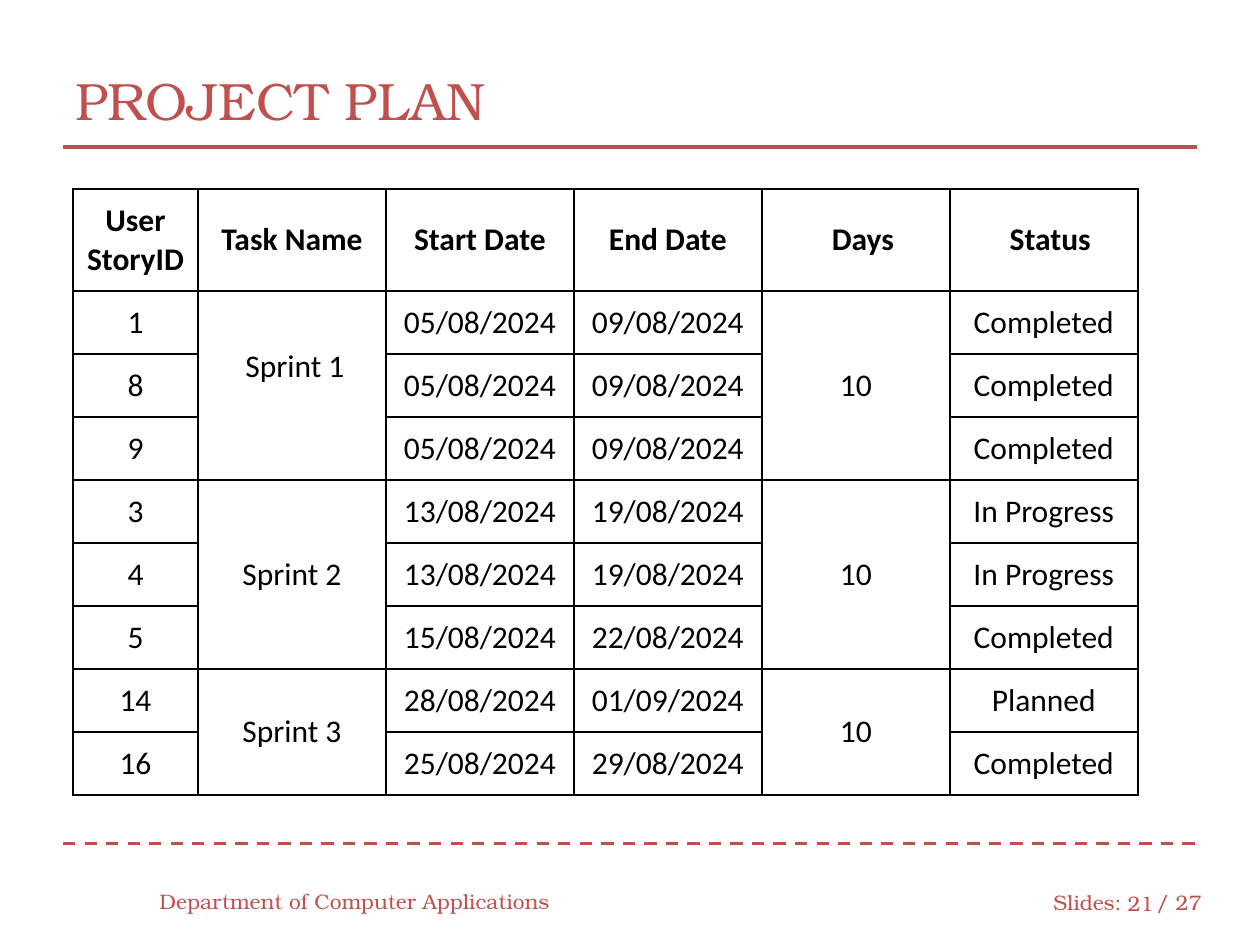
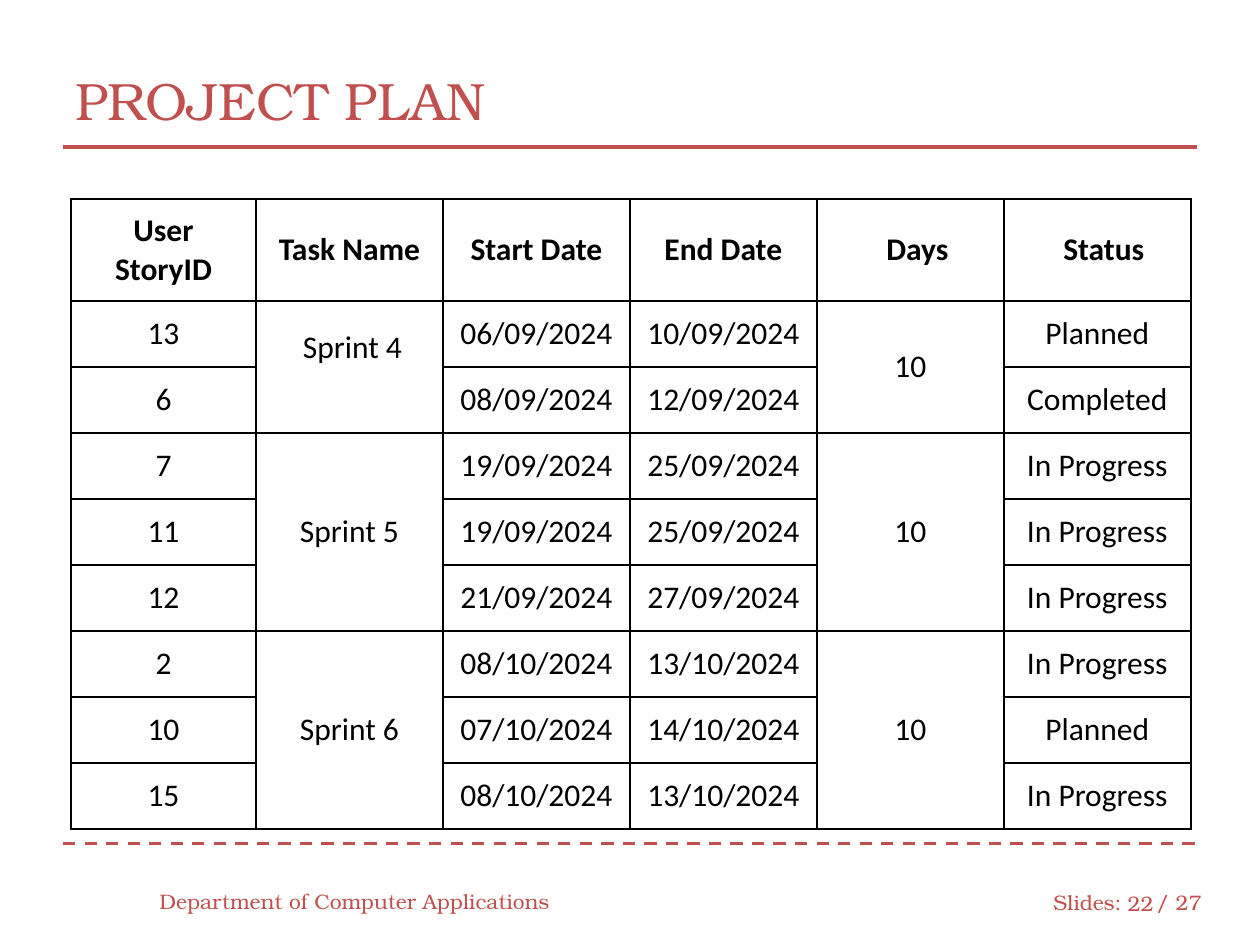
"""Build two project plan slides, each with a sprint table."""
from lxml.etree import SubElement
from pptx import Presentation
from pptx.dml.color import RGBColor
from pptx.enum.dml import MSO_LINE
from pptx.enum.shapes import MSO_CONNECTOR
from pptx.enum.text import MSO_ANCHOR, PP_ALIGN
from pptx.oxml import parse_xml
from pptx.oxml.ns import nsdecls, qn
from pptx.util import Emu, Pt

HUES = {"red": "C0504D", "ink": "000000", "paper": "FFFFFF"}
LOOKS = {
    "title": {"name": "TeX Gyre Bonum", "size": Pt(30), "bold": False},
    "foot": {"name": "TeX Gyre Bonum", "size": Pt(12), "bold": False},
    "head": {"name": "Calibri", "size": Pt(18), "bold": True},
    "body": {"name": "Calibri", "size": Pt(18), "bold": False},
}
PAD = 13
LINE = 38
HEADS = ["User\nStoryID", "Task Name", "Start Date", "End Date", "Days", "Status"]
SHIFT = {"Days": 14, "Status": 13}

PLANS = [
    {"page": "21", "left": 73, "top": 189, "first": 125, "rest": 188, "row": 63,
     "sprints": [
         ("Sprint 1", [("1", "05/08/2024", "09/08/2024", "Completed"),
                       ("8", "05/08/2024", "09/08/2024", "Completed"),
                       ("9", "05/08/2024", "09/08/2024", "Completed")]),
         ("Sprint 2", [("3", "13/08/2024", "19/08/2024", "In Progress"),
                       ("4", "13/08/2024", "19/08/2024", "In Progress"),
                       ("5", "15/08/2024", "22/08/2024", "Completed")]),
         ("Sprint 3", [("14", "28/08/2024", "01/09/2024", "Planned"),
                       ("16", "25/08/2024", "29/08/2024", "Completed")])]},
    {"page": "22", "left": 71, "top": 199, "first": 185, "rest": 187, "row": 66,
     "sprints": [
         ("Sprint 4", [("13", "06/09/2024", "10/09/2024", "Planned"),
                       ("6", "08/09/2024", "12/09/2024", "Completed")]),
         ("Sprint 5", [("7", "19/09/2024", "25/09/2024", "In Progress"),
                       ("11", "19/09/2024", "25/09/2024", "In Progress"),
                       ("12", "21/09/2024", "27/09/2024", "In Progress")]),
         ("Sprint 6", [("2", "08/10/2024", "13/10/2024", "In Progress"),
                       ("10", "07/10/2024", "14/10/2024", "Planned"),
                       ("15", "08/10/2024", "13/10/2024", "In Progress")])]},
]


def px(num):
    return Emu(round(num * 914400 / 126))


def write(frame, text, look, hue, align):
    frame.text = text
    for para in frame.paragraphs:
        para.alignment = align
        for run in para.runs:
            for key, value in LOOKS[look].items():
                setattr(run.font, key, value)
            run.font.color.rgb = RGBColor.from_string(HUES[hue])


deck = Presentation()
deck.slide_width, deck.slide_height = px(1260), px(945)

for plan in PLANS:
    slide = deck.slides.add_slide(deck.slide_layouts[6])

    for y, dash in [(844, MSO_LINE.DASH), (147, MSO_LINE.SOLID)]:
        rule = slide.shapes.add_connector(
            MSO_CONNECTOR.STRAIGHT, px(63), px(y), px(1197), px(y))
        rule.line.color.rgb = RGBColor.from_string(HUES["red"])
        rule.line.width = Pt(1.75)
        rule.line.dash_style = dash
        SubElement(rule.element.spPr, qn("a:effectLst"))

    for text, look, align, box in [
        ("PROJECT PLAN", "title", PP_ALIGN.LEFT, (63, 42, 1134, 116)),
        ("Department of Computer Applications", "foot", PP_ALIGN.LEFT, (147, 876, 420, 50)),
        ("Slides:", "foot", PP_ALIGN.LEFT, (1041, 877, 95, 50)),
        (plan["page"], "foot", PP_ALIGN.RIGHT, (1112, 878, 54, 50)),
        ("/ 27", "foot", PP_ALIGN.LEFT, (1144, 877, 73, 50)),
    ]:
        frame = slide.shapes.add_textbox(*map(px, box)).text_frame
        frame.word_wrap = True
        frame.vertical_anchor = MSO_ANCHOR.MIDDLE
        write(frame, text, look, "red", align)

    rows = [HEADS]
    spans = []
    for name, tasks in plan["sprints"]:
        spans.append((len(rows), len(rows) + len(tasks) - 1))
        for num, (story, start, end, state) in enumerate(tasks):
            rows.append([story, "" if num else name, start, end, "" if num else "10", state])

    wides = [plan["first"]] + [plan["rest"]] * 5
    highs = [102] + [plan["row"]] * (len(rows) - 1)
    table = slide.shapes.add_table(
        len(rows), len(wides), px(plan["left"]), px(plan["top"]),
        px(sum(wides)), px(sum(highs))).table
    table.first_row = table.horz_banding = False
    for col, wide in zip(table.columns, wides):
        col.width = px(wide)
    for row, high in zip(table.rows, highs):
        row.height = px(high)

    for r, row in enumerate(rows):
        for c, text in enumerate(row):
            cell = table.cell(r, c)
            raised = (r, c) == (1, 1)
            form = {
                "margin_left": px(PAD + (6 if raised else SHIFT.get(text, 0))),
                "margin_right": px(PAD),
                "margin_top": px(PAD - 1),
                "margin_bottom": px(PAD - 1 + (LINE if raised else 0)),
                "vertical_anchor": MSO_ANCHOR.MIDDLE,
            }
            for key, value in form.items():
                setattr(cell, key, value)
            props = cell._tc.get_or_add_tcPr()
            for side in "LRTB":
                props.append(parse_xml(
                    f'<a:ln{side} {nsdecls("a")} w="12700"><a:solidFill>'
                    f'<a:srgbClr val="{HUES["ink"]}"/></a:solidFill></a:ln{side}>'))
            cell.fill.solid()
            cell.fill.fore_color.rgb = RGBColor.from_string(HUES["paper"])
            if text:
                write(cell.text_frame, text, "body" if r else "head", "ink", PP_ALIGN.CENTER)

    for top, end in spans:
        for c in (1, 4):
            table.cell(top, c).merge(table.cell(end, c))

deck.save("out.pptx")
